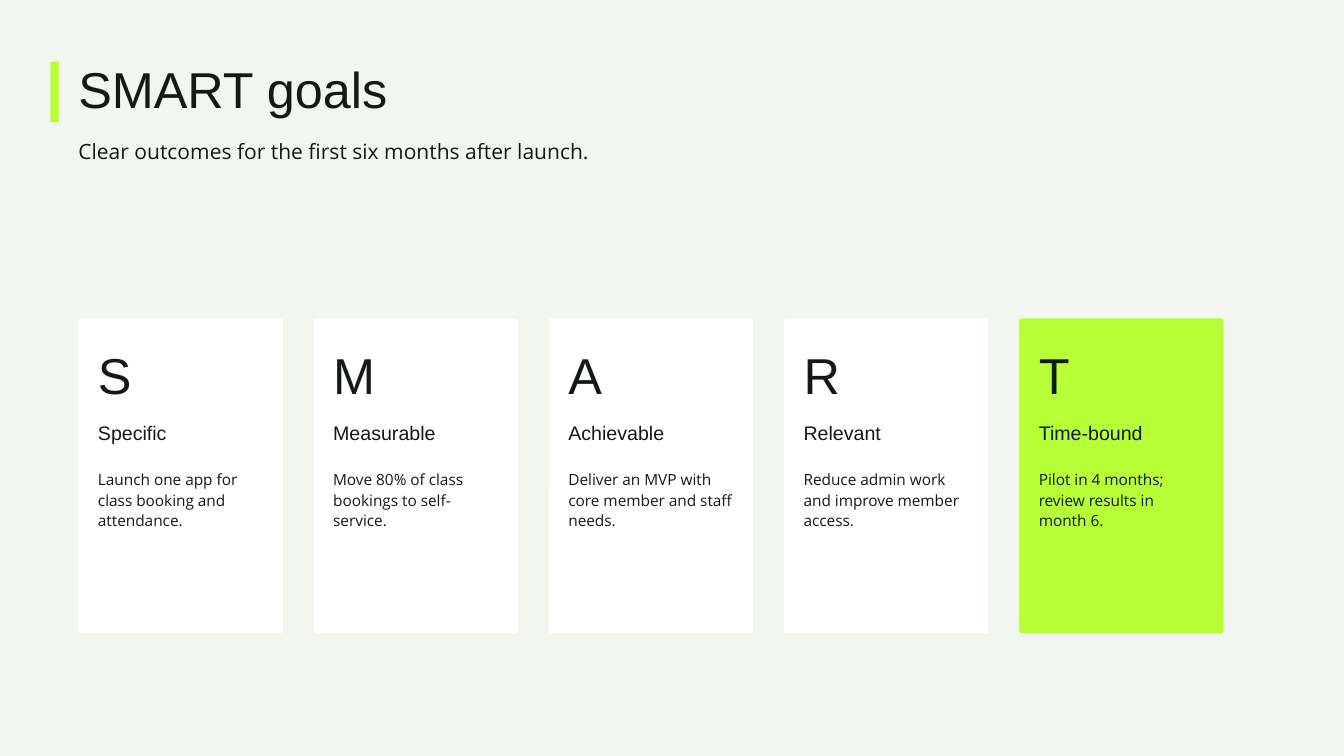
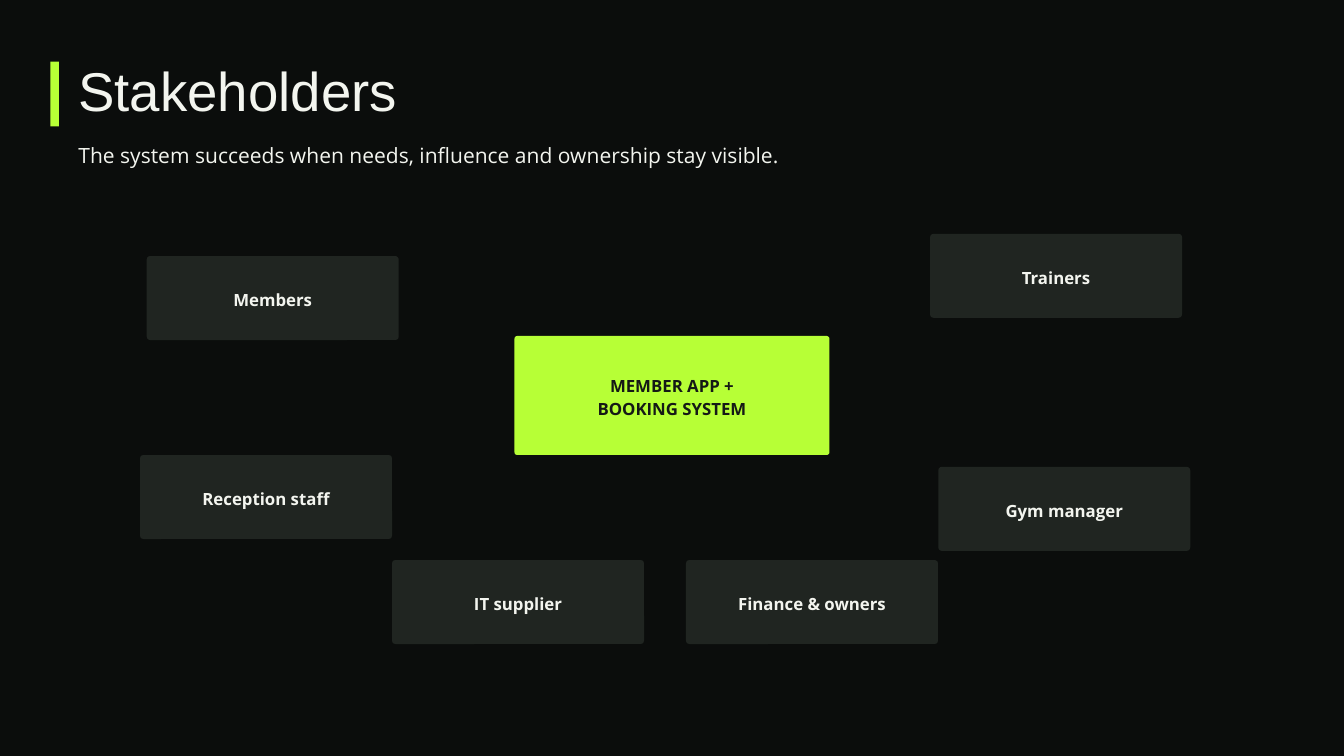
from pptx import Presentation
from pptx.dml.color import RGBColor
from pptx.enum import shapes, text
from pptx.util import Pt

LIME, INK, PAPER, NIGHT, WHITE, SLATE = (
    "B7FF36", "151916", "F3F5EF", "0B0D0C", "FFFFFF", "202521")
SLIDE_WIDTH, SLIDE_HEIGHT = 1440, 810
MARGIN = 84

# Text styles: font, size, line spacing
TITLES = {
    "light": dict(name="Arial", size=54, spacing=55.1),
    "dark": dict(name="Arial", size=58.5, spacing=59.7),
}
SUBTITLE = dict(name="Open Sans", size=22.5, spacing=30.4)
LETTER = dict(name="Arial", size=54, spacing=75.6)
HEADING = dict(name="Arial", size=21, spacing=29.4)
BODY = dict(name="Open Sans", size=16.5, spacing=22.3)
LABEL = dict(name="Open Sans", size=18, spacing=25.2, bold=True)

GOALS = [
    ("S", "Specific", "Launch one app for class booking and attendance."),
    ("M", "Measurable", "Move 80% of class bookings to self-service."),
    ("A", "Achievable", "Deliver an MVP with core member and staff needs."),
    ("R", "Relevant", "Reduce admin work and improve member access."),
    ("T", "Time-bound", "Pilot in 4 months; review results in month 6."),
]
CARD_TOP, CARD_WIDTH, CARD_HEIGHT, CARD_PITCH = 341.25, 219, 337.5, 252
CARD_PADDING = 21
# Style, top and height of each text in a card
CARD_ROWS = [(LETTER, 357.75, 70.5), (HEADING, 447, 28), (BODY, 501, 65)]

HUB = ["MEMBER APP +", "BOOKING SYSTEM"]
HUB_TOP, HUB_WIDTH, HUB_HEIGHT = 360, 337.5, 127.5
NODE_WIDTH, NODE_HEIGHT = 270, 90
STAKEHOLDERS = [
    ("Members", 157.2, 274.3),
    ("Reception staff", 150, 487.5),
    ("Trainers", 996.5, 250.5),
    ("Gym manager", 1005.3, 500.2),
    ("IT supplier", 420, 600),
    ("Finance & owners", 735, 600),
]


def rgb(color):
    return RGBColor.from_string(color)


def write(frame, lines, style, color, align=text.PP_ALIGN.LEFT, inset=0):
    frame.word_wrap = True
    for side in ("left", "top", "right", "bottom"):
        setattr(frame, f"margin_{side}", Pt(inset))
    for index, line in enumerate(lines):
        paragraph = frame.paragraphs[0] if index == 0 else frame.add_paragraph()
        paragraph.text = line
        paragraph.alignment = align
        paragraph.line_spacing = Pt(style["spacing"])
        font = paragraph.runs[0].font
        values = dict(name=style["name"], size=Pt(style["size"]),
                      bold=style.get("bold", False))
        for key, value in values.items():
            setattr(font, key, value)
        font.color.rgb = rgb(color)


def add_text(slide, line, style, color, *box):
    frame = slide.shapes.add_textbox(*map(Pt, box)).text_frame
    write(frame, [line], style, color)
    frame.auto_size = text.MSO_AUTO_SIZE.SHAPE_TO_FIT_TEXT


def add_panel(slide, fill, left, top, width, height, radius=0):
    kind = shapes.MSO_SHAPE.ROUNDED_RECTANGLE if radius else shapes.MSO_SHAPE.RECTANGLE
    shape = slide.shapes.add_shape(kind, *map(Pt, (left, top, width, height)))
    if radius:
        shape.adjustments[0] = radius / min(width, height)
    shape.shadow.inherit = False
    shape.fill.solid()
    shape.fill.fore_color.rgb = rgb(fill)
    shape.line.fill.background()
    return shape


def add_label_panel(slide, lines, fill, color, *box, radius):
    frame = add_panel(slide, fill, *box, radius=radius).text_frame
    write(frame, lines, LABEL, color, text.PP_ALIGN.CENTER, inset=4.5)
    frame.vertical_anchor = text.MSO_ANCHOR.MIDDLE


def add_headed_slide(presentation, theme, title, subtitle):
    """Add a slide with background, accent bar, title and subtitle."""
    slide = presentation.slides.add_slide(presentation.slide_layouts[6])
    background, color = (PAPER, INK) if theme == "light" else (NIGHT, PAPER)
    slide.background.fill.solid()
    slide.background.fill.fore_color.rgb = rgb(background)
    style = TITLES[theme]
    bar_height = style["spacing"] + 9.7
    add_text(slide, title, style, color, MARGIN, 71.6, 1125, style["spacing"] + 2.5)
    add_text(slide, subtitle, SUBTITLE, color, MARGIN, 80.2 + bar_height, 960, 29)
    add_panel(slide, LIME, 54, 66, 9, bar_height)
    return slide


def add_goals(presentation):
    slide = add_headed_slide(presentation, "light", "SMART goals",
                             "Clear outcomes for the first six months after launch.")
    for index, goal in enumerate(GOALS):
        left = MARGIN + index * CARD_PITCH
        fill = LIME if index == len(GOALS) - 1 else WHITE
        add_panel(slide, fill, left, CARD_TOP, CARD_WIDTH, CARD_HEIGHT, radius=3)
        for line, (style, top, height) in zip(goal, CARD_ROWS):
            add_text(slide, line, style, INK, left + CARD_PADDING, top,
                     CARD_WIDTH - 2 * CARD_PADDING, height)


def add_stakeholders(presentation):
    slide = add_headed_slide(
        presentation, "dark", "Stakeholders",
        "The system succeeds when needs, influence and ownership stay visible.")
    add_label_panel(slide, HUB, LIME, INK, (SLIDE_WIDTH - HUB_WIDTH) / 2, HUB_TOP,
                    HUB_WIDTH, HUB_HEIGHT, radius=3)
    for name, left, top in STAKEHOLDERS:
        add_label_panel(slide, [name], SLATE, PAPER, left, top,
                        NODE_WIDTH, NODE_HEIGHT, radius=3.75)


def main():
    presentation = Presentation()
    presentation.slide_width, presentation.slide_height = Pt(SLIDE_WIDTH), Pt(SLIDE_HEIGHT)
    add_goals(presentation)
    add_stakeholders(presentation)
    presentation.save("out.pptx")


if __name__ == "__main__":
    main()
